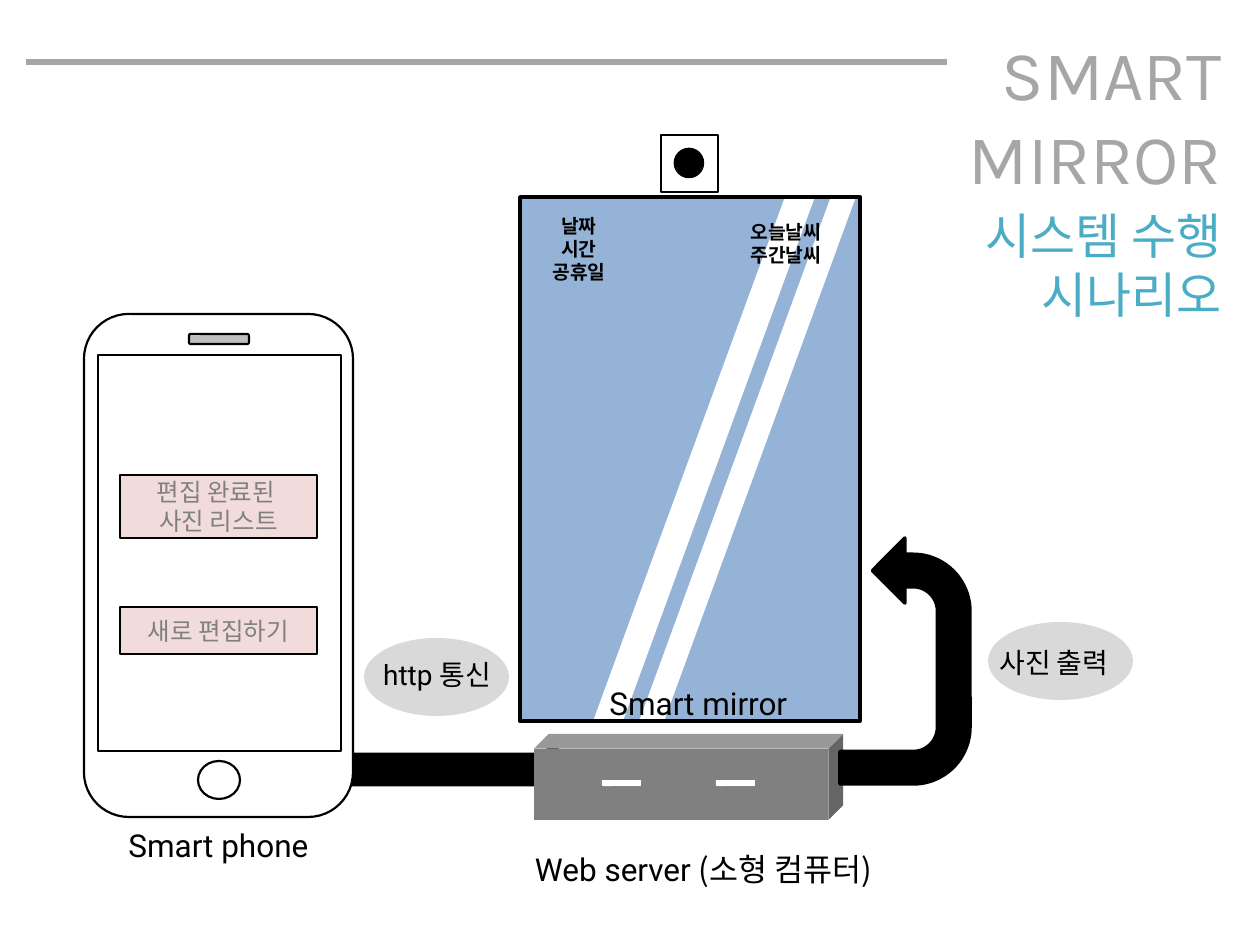
"""Builds the smart mirror system scenario slide."""
import pptx
import pptx.util
import pptx.dml.color
import pptx.enum.shapes
import pptx.enum.text
import pptx.oxml
import pptx.oxml.ns

KIND = pptx.enum.shapes.MSO_SHAPE
ALIGN = pptx.enum.text.PP_ALIGN
ANCHOR = pptx.enum.text.MSO_ANCHOR
Pt = pptx.util.Pt
PX = 914400 / 126
HANGUL = "Noto Sans CJK KR"
HEX = {
    "black": "000000", "white": "FFFFFF", "ash": "A6A6A6", "teal": "4BACC6",
    "mist": "D9D9D9", "stone": "808080", "sky": "95B3D7", "pink": "F2DCDB",
    "silver": "BFBFBF",
}
MIRROR = (520, 197, 340, 524)

# kind, box, fill, line, line width, adjustment
SHAPES = [
    (KIND.RIGHT_ARROW, (334, 736, 246, 67), "black", None, 0, None),
    (KIND.OVAL, (988, 622, 145, 78), "mist", None, 0, None),
    (KIND.OVAL, (364, 638, 145, 78), "mist", None, 0, None),
    (KIND.CUBE, (534, 734, 309, 86), "stone", None, 0, 0.17),
    (KIND.ROUNDED_RECTANGLE, (602, 780, 39, 6), "white", None, 0, None),
    (KIND.ROUNDED_RECTANGLE, (716, 780, 39, 6), "white", None, 0, None),
    (KIND.RECTANGLE, MIRROR, "sky", "sky", 2, None),
    (KIND.PARALLELOGRAM, (595, 197, 218, 524), "white", "white", 2, 0.88),
    (KIND.PARALLELOGRAM, (641, 197, 213, 524), "white", "white", 2, 0.9),
    (KIND.ROUNDED_RECTANGLE, (84, 314, 269, 503), "white", "black", 1.25, None),
    (KIND.RECTANGLE, (98, 355, 243, 396), None, "black", 1.25, None),
    (KIND.OVAL, (198, 761, 42, 38), "white", "black", 1.25, None),
    (KIND.ROUNDED_RECTANGLE, (189, 334, 60, 10), "silver", "black", 1.25, None),
    (KIND.RECTANGLE, (661, 135, 57, 57), None, "black", 1.5, None),
    (KIND.OVAL, (675, 149, 28, 28), "black", "black", 1.5, None),
    (KIND.RECTANGLE, MIRROR, None, "black", 2, None),
]
BUTTONS = [
    ((120, 607, 197, 47), [["새로 편집하기"]]),
    ((120, 475, 197, 63), [["편집 완료된 "], ["사진 리스트"]]),
]
TURN = (782, 596, 246, 130)

# box, lines of runs, format
LABELS = [
    ((84, 820, 269, 50), [["Smart phone"]], {"size": 18}),
    ((504, 844, 399, 50), [["Web server ", "(소형 컴퓨터)"]], {"size": 18}),
    ((597, 678, 216, 50), [["Smart mirror"]], {"size": 18, "align": ALIGN.LEFT}),
    ((537, 208, 84, 83), [["날짜"], ["시간"], ["공휴일"]], {"size": 11, "bold": True}),
    ((730, 214, 112, 59), [["오늘날씨"], ["주간날씨"]], {"size": 11, "bold": True}),
    ((987, 639, 156, 45), [["사진 출력"]], {"size": 16, "align": ALIGN.LEFT}),
    ((364, 651, 146, 47), [["http ", "통신"]], {"size": 16, "wrap": False}),
]
TITLE = ((895, 24, 339, 183), [["SMART"], ["MIRROR"]],
         {"size": 40, "latin": "Karla", "color": "ash", "align": ALIGN.RIGHT})
SUB = ((895, 199, 339, 131), [["시스템 수행"], ["시나리오"]],
       {"size": 28, "color": "teal", "align": ALIGN.RIGHT})


def emu(*nums):
    return [round(n * PX) for n in nums]


def rgb(name):
    return pptx.dml.color.RGBColor.from_string(HEX[name])


def text(shape, lines, size=18, latin="Roboto", color="black", bold=False,
         align=ALIGN.CENTER, anchor=ANCHOR.TOP, wrap=True):
    frame = shape.text_frame
    frame.word_wrap = wrap
    frame.auto_size = pptx.enum.text.MSO_AUTO_SIZE.NONE
    frame.vertical_anchor = anchor
    for i, line in enumerate(lines):
        para = frame.add_paragraph() if i else frame.paragraphs[0]
        para.alignment = align
        para.space_before = Pt(0)
        para.line_spacing = Pt(round(size * 1.2, 1))
        for part in line:
            run = para.add_run()
            run.text = part
            font = run.font
            font.size, font.bold = Pt(size), bold
            font.color.rgb = rgb(color)
            font.name = latin if part.isascii() else HANGUL
            east = pptx.oxml.parse_xml(
                f'<a:ea {pptx.oxml.ns.nsdecls("a")} typeface="{HANGUL}"/>')
            run._r.get_or_add_rPr().find(pptx.oxml.ns.qn("a:latin")).addnext(east)


def draw(slide, kind, box, fill, line, width, adj=None):
    shape = slide.shapes.add_shape(kind, *emu(*box))
    shape.shadow.inherit = False
    if fill:
        shape.fill.solid()
        shape.fill.fore_color.rgb = rgb(fill)
    else:
        shape.fill.background()
    if line:
        shape.line.color.rgb = rgb(line)
        shape.line.width = Pt(width)
    else:
        shape.line.fill.background()
    if adj is not None:
        shape.adjustments[0] = adj
    return shape


def main():
    deck = pptx.Presentation()
    deck.slide_width, deck.slide_height = emu(1260, 945)
    slide = deck.slides.add_slide(deck.slide_layouts[0])
    for hold, (box, lines, style) in zip(slide.placeholders, (TITLE, SUB)):
        hold.left, hold.top, hold.width, hold.height = emu(*box)
        text(hold, lines, **style)

    rule = slide.shapes.add_connector(
        pptx.enum.shapes.MSO_CONNECTOR.STRAIGHT, *emu(26, 62, 947, 62))
    rule.line.color.rgb = rgb("ash")
    rule.line.width = Pt(3)
    rule._element.spPr.append(
        pptx.oxml.parse_xml(f'<a:effectLst {pptx.oxml.ns.nsdecls("a")}/>'))

    for item in SHAPES:
        draw(slide, *item)
    for box, lines in BUTTONS:
        key = draw(slide, KIND.RECTANGLE, box, "pink", "black", 1.25)
        text(key, lines, size=14, color="stone", anchor=ANCHOR.MIDDLE)
    turn = draw(slide, KIND.U_TURN_ARROW, TURN, "black", "black", 2)
    turn.rotation = 90
    turn._element.spPr.xfrm.set("flipH", "1")
    for box, lines, style in LABELS:
        text(slide.shapes.add_textbox(*emu(*box)), lines, **style)
    deck.save("out.pptx")


if __name__ == "__main__":
    main()
